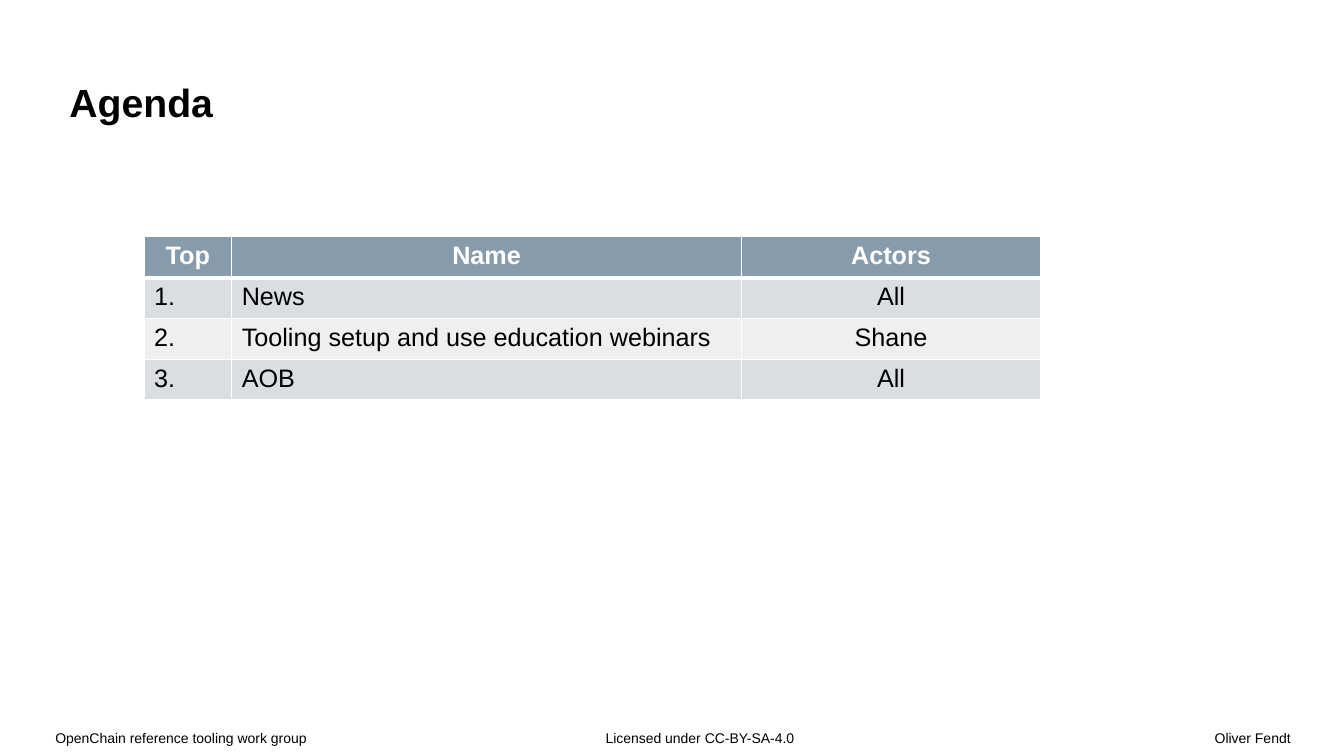
from lxml import etree
from pptx import Presentation
from pptx.dml.color import RGBColor
from pptx.enum.text import MSO_ANCHOR as ANCHOR, PP_ALIGN as ALIGN
from pptx.oxml.ns import qn
from pptx.util import Inches, Pt

COLORS = {"text": "000000", "white": "FFFFFF", "header": "879BAA",
          "odd": "D9DEE2", "even": "EDEFF1"}


def write(tf, text, size=10, color="text", bold=False, align=ALIGN.LEFT, spacing=1.0):
    p = tf.paragraphs[0]
    p.alignment = align
    p.line_spacing = spacing
    r = p.add_run()
    r.text = text
    r.font.name = "Arial"
    r.font.size = Pt(size)
    r.font.bold = bold
    r.font.color.rgb = RGBColor.from_string(COLORS[color])


def add_box(box, insets, anchor=ANCHOR.TOP):
    tf = s.shapes.add_textbox(*map(Inches, box)).text_frame
    tf.word_wrap = True
    tf.vertical_anchor = anchor
    tf.margin_left, tf.margin_top, tf.margin_right, tf.margin_bottom = map(Inches, insets)
    return tf


prs = Presentation()
prs.slide_width, prs.slide_height = Inches(13.34), Inches(7.5)
s = prs.slides.add_slide(prs.slide_layouts[6])

# Footer
footers = [
    ("OpenChain reference tooling work group", 0.31, 3.4, 0.24, 0, ALIGN.LEFT),
    ("Licensed under CC-BY-SA-4.0", 5.32, 3.01, 0.69, 0, ALIGN.LEFT),
    ("Oliver Fendt", 4.14, 9.2, 0, 0.53, ALIGN.RIGHT),
]
for text, left, width, inset_left, inset_right, align in footers:
    tf = add_box((left, 7.22, width, 0.28), (inset_left, 0, inset_right, 0.13))
    write(tf, text, align=align, spacing=1.1)

# Title
tf = add_box((0, 0, 13.34, 1.39), (0.69, 0.43, 2.32, 0.26), ANCHOR.BOTTOM)
write(tf, "Agenda", size=28, bold=True)

# Agenda table
agenda = [
    ("Top", "Name", "Actors"),
    ("1.", "News", "All"),
    ("2.", "Tooling setup and use education webinars", "Shane"),
    ("3.", "AOB", "All"),
]
col_widths = (0.87, 5.06, 2.97)
row_height = 0.405
table = s.shapes.add_table(len(agenda), len(col_widths), Inches(1.43), Inches(2.35),
                           Inches(sum(col_widths)), Inches(row_height * len(agenda))).table
for col, width in zip(table.columns, col_widths):
    col.width = Inches(width)

for i, values in enumerate(agenda):
    table.rows[i].height = Inches(row_height)
    header = i == 0
    fill = "header" if header else "odd" if i % 2 else "even"
    for j, text in enumerate(values):
        cell = table.cell(i, j)
        write(cell.text_frame, text, size=18, bold=header,
              color="white" if header else "text",
              align=ALIGN.CENTER if header or j == 2 else ALIGN.LEFT)
        # White borders, thicker between header and body
        tcPr = cell._tc.get_or_add_tcPr()
        for side in "LRTB":
            thick = (i, side) in ((0, "B"), (1, "T"))
            ln = etree.SubElement(tcPr, qn(f"a:ln{side}"), w=str(Pt(3 if thick else 1)))
            solid = etree.SubElement(ln, qn("a:solidFill"))
            etree.SubElement(solid, qn("a:srgbClr"), val=COLORS["white"])
        cell.fill.solid()
        cell.fill.fore_color.rgb = RGBColor.from_string(COLORS[fill])

prs.save("out.pptx")
